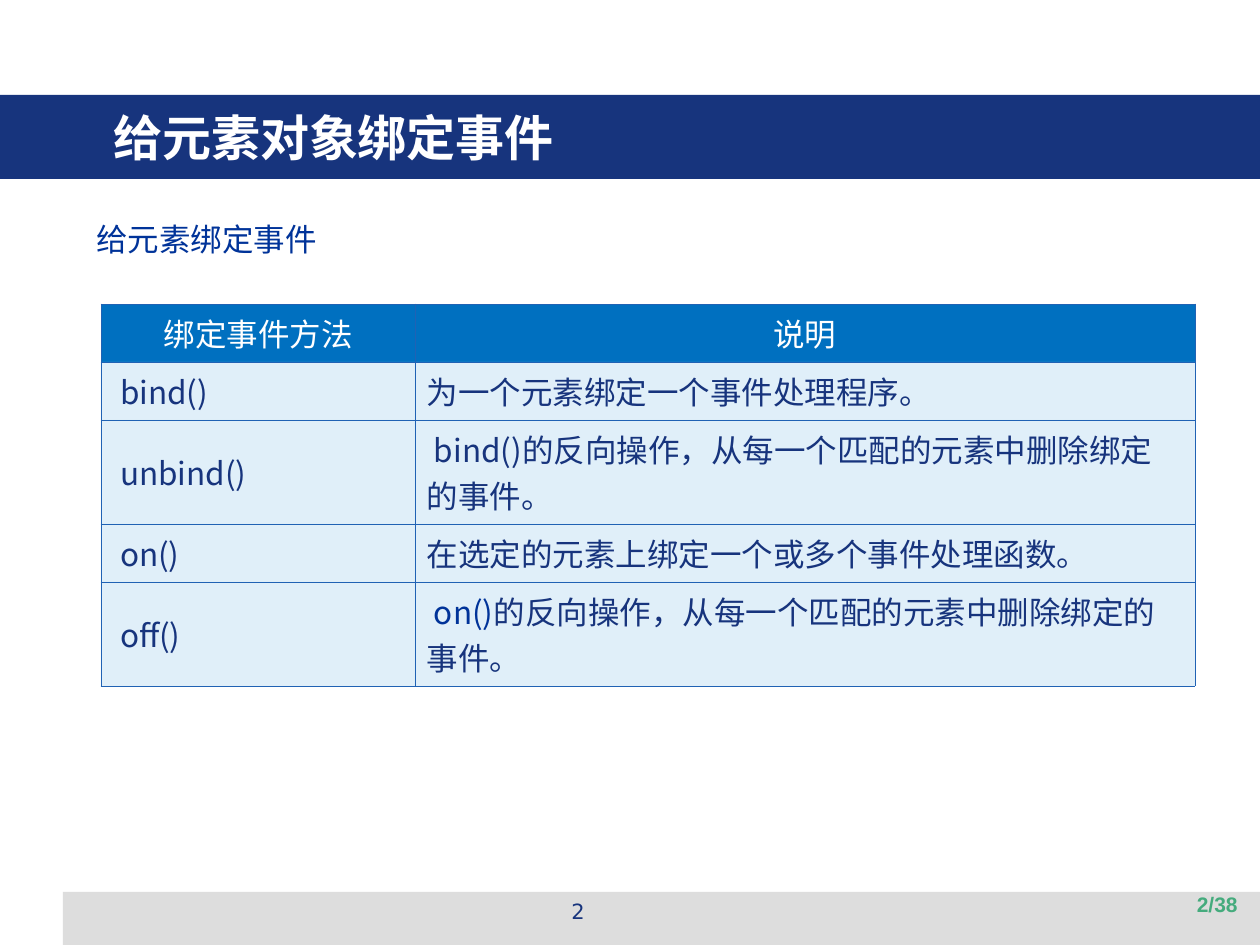
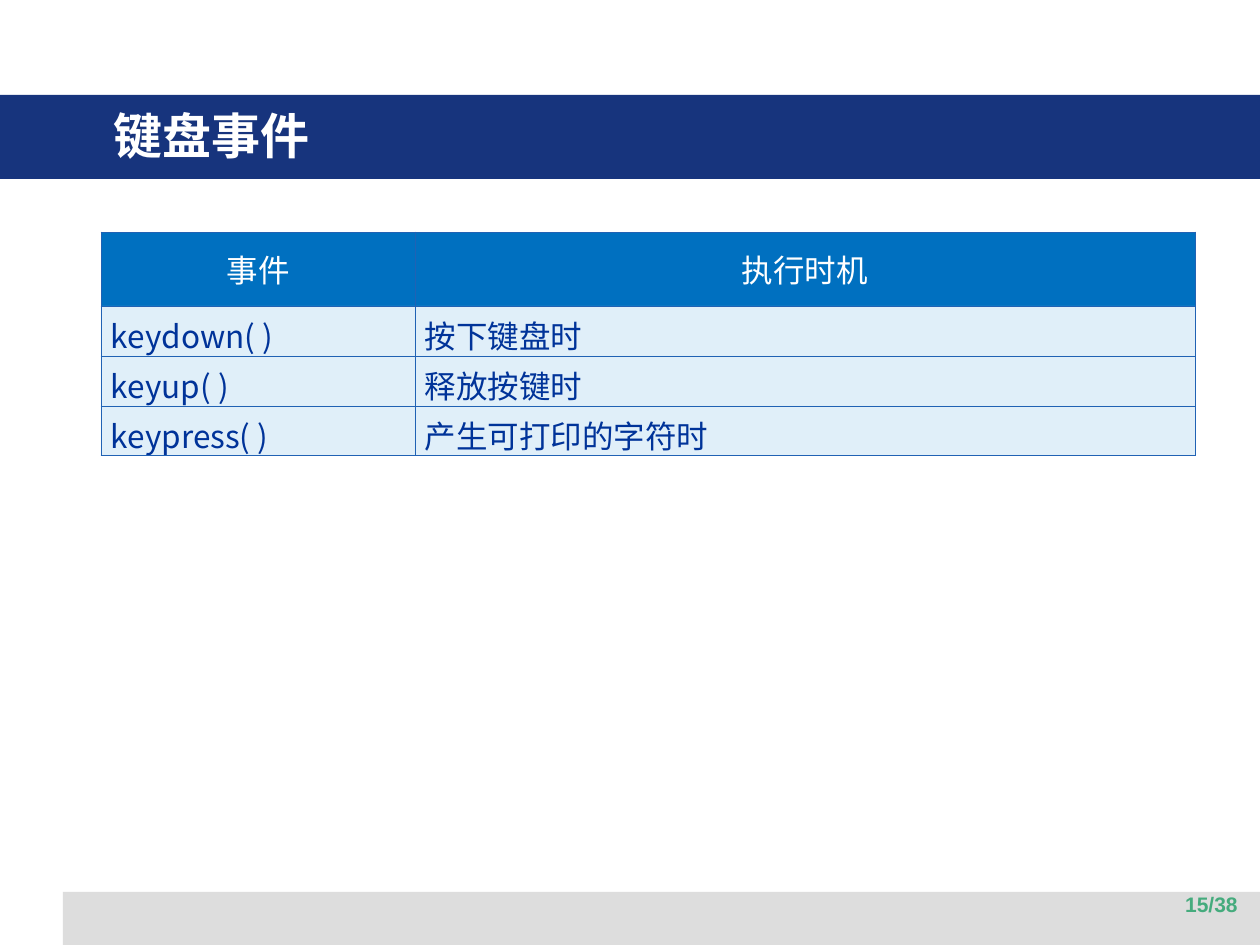
from dataclasses import dataclass
from typing import NamedTuple

from lxml import etree
from pptx import Presentation
from pptx import util as u
from pptx.dml.color import RGBColor
from pptx.enum import shapes, text
from pptx.oxml import ns

PX_PER_INCH = 126
SLIDE_WIDTH, SLIDE_HEIGHT = 1260, 945
TOTAL_PAGES = 38


@dataclass(frozen=True)
class Theme:
    navy: str = "17347D"
    blue: str = "003399"
    white: str = "FFFFFF"
    green: str = "45AB7D"
    footer_grey: str = "DDDDDD"
    header_fill: str = "0070C0"
    body_fill: str = "C3E0F5"
    body_opacity: int = 50
    border: str = "2062B4"
    border_width: float = 0.45
    cjk_font: str = "Noto Sans CJK SC"
    page_font: str = "Arial"
    number_font: str = "DejaVu Sans"
    title_size: int = 28
    body_size: int = 18
    footer_size: int = 12


THEME = Theme()


class Box(NamedTuple):
    left: int
    top: int
    width: int
    height: int


class Style(NamedTuple):
    font: str
    size: int
    color: str
    bold: bool = False
    align: text.PP_ALIGN = text.PP_ALIGN.LEFT
    anchor: text.MSO_ANCHOR = text.MSO_ANCHOR.TOP


class Span(NamedTuple):
    text: str
    color: str


@dataclass(frozen=True)
class EventTable:
    top: int
    row_heights: tuple[int, ...]
    header: tuple[str, str]
    rows: tuple[tuple[str | tuple[Span, ...], ...], ...]
    text_color: str
    side_margin: int
    anchor: text.MSO_ANCHOR


@dataclass(frozen=True)
class EventSlide:
    page: int
    title: str
    title_box: Box
    table: EventTable
    subtitle: str = ""
    center_number: str = ""


TITLE_BAND = Box(0, 95, SLIDE_WIDTH, 84)
FOOTER_BAND = Box(63, 892, 1197, 53)
SUBTITLE_BOX = Box(84, 214, 1053, 149)
CENTER_NUMBER_BOX = Box(431, 892, 294, 44)
PAGE_BOX = Box(956, 885, 294, 50)
TABLE_LEFT = 101
COLUMN_WIDTHS = (314, 780)
CELL_PAD = 6

TITLE = Style(THEME.cjk_font, THEME.title_size, THEME.white, bold=True,
              anchor=text.MSO_ANCHOR.MIDDLE)
SUBTITLE = Style(THEME.cjk_font, THEME.body_size, THEME.blue)
PAGE = Style(THEME.page_font, THEME.footer_size, THEME.green, bold=True,
             align=text.PP_ALIGN.RIGHT)
CENTER_NUMBER = Style(THEME.number_font, THEME.footer_size, THEME.navy,
                      align=text.PP_ALIGN.CENTER)
HEADER = Style(THEME.cjk_font, THEME.body_size, THEME.white,
               align=text.PP_ALIGN.CENTER, anchor=text.MSO_ANCHOR.MIDDLE)

SLIDES = (
    EventSlide(
        page=2,
        title="给元素对象绑定事件",
        title_box=Box(101, 96, 1134, 81),
        subtitle="给元素绑定事件",
        center_number="2",
        table=EventTable(
            top=304,
            row_heights=(58, 58, 104, 58, 104),
            header=("绑定事件方法", "说明"),
            rows=(
                (" bind()", "为一个元素绑定一个事件处理程序。"),
                (" unbind()", " bind()的反向操作，从每一个匹配的元素中删除绑定的事件。"),
                (" on()", "在选定的元素上绑定一个或多个事件处理函数。"),
                (" off()", (
                    Span(" on()", THEME.blue),
                    Span("的反向操作，从每一个匹配的元素中删除绑定的事件。", THEME.navy),
                )),
            ),
            text_color=THEME.navy,
            side_margin=12,
            anchor=text.MSO_ANCHOR.MIDDLE,
        ),
    ),
    EventSlide(
        page=15,
        title="键盘事件",
        title_box=Box(101, 73, 1134, 123),
        table=EventTable(
            top=232,
            row_heights=(74, 50, 50, 50),
            header=("事件", "执行时机"),
            rows=(
                ("keydown( )", "按下键盘时"),
                ("keyup( )", "释放按键时"),
                ("keypress( )", "产生可打印的字符时"),
            ),
            text_color=THEME.blue,
            side_margin=10,
            anchor=text.MSO_ANCHOR.TOP,
        ),
    ),
)


def px(length: int) -> u.Emu:
    return u.Inches(length / PX_PER_INCH)


def place(box: Box) -> tuple[u.Emu, ...]:
    return tuple(px(length) for length in box)


def format_run(run, style: Style, color: str) -> None:
    run.font.name = style.font
    run.font.size = u.Pt(style.size)
    run.font.bold = style.bold
    run.font.color.rgb = RGBColor.from_string(color)
    properties = run.font._element
    etree.SubElement(properties, ns.qn("a:ea"), typeface=style.font)


def write(paragraph, content: str | tuple[Span, ...], style: Style) -> None:
    spans = (Span(content, style.color),) if isinstance(content, str) else content
    paragraph.alignment = style.align
    for span in spans:
        run = paragraph.add_run()
        run.text = span.text
        format_run(run, style, span.color)


def add_label(slide, box: Box, content: str, style: Style) -> None:
    frame = slide.shapes.add_textbox(*place(box)).text_frame
    frame.word_wrap = True
    frame.vertical_anchor = style.anchor
    write(frame.paragraphs[0], content, style)


def add_band(slide, box: Box, color: str) -> None:
    band = slide.shapes.add_shape(shapes.MSO_SHAPE.RECTANGLE, *place(box))
    band.shadow.inherit = False
    band.fill.solid()
    band.fill.fore_color.rgb = RGBColor.from_string(color)
    band.line.fill.background()


def add_borders(cell) -> None:
    properties = cell._tc.get_or_add_tcPr()
    for side in ("lnL", "lnR", "lnT", "lnB"):
        line = etree.SubElement(properties, ns.qn(f"a:{side}"),
                                w=str(u.Pt(THEME.border_width)))
        fill = etree.SubElement(line, ns.qn("a:solidFill"))
        etree.SubElement(fill, ns.qn("a:srgbClr"), val=THEME.border)


def fill_cell(cell, color: str, opacity: int = 100) -> None:
    cell.fill.solid()
    cell.fill.fore_color.rgb = RGBColor.from_string(color)
    if opacity < 100:
        tint = cell._tc.tcPr.find(f"{ns.qn('a:solidFill')}/{ns.qn('a:srgbClr')}")
        etree.SubElement(tint, ns.qn("a:alpha"), val=str(opacity * 1000))


def add_event_table(slide, event_table: EventTable) -> None:
    contents = (event_table.header, *event_table.rows)
    box = Box(TABLE_LEFT, event_table.top,
              sum(COLUMN_WIDTHS), sum(event_table.row_heights))
    table = slide.shapes.add_table(
        len(contents), len(COLUMN_WIDTHS), *place(box)).table
    table.first_row = table.horz_banding = False
    for column, width in zip(table.columns, COLUMN_WIDTHS):
        column.width = px(width)
    for row, height in zip(table.rows, event_table.row_heights):
        row.height = px(height)

    body = Style(THEME.cjk_font, THEME.body_size, event_table.text_color,
                 anchor=event_table.anchor)
    for row_index, row_contents in enumerate(contents):
        is_header = row_index == 0
        style = HEADER if is_header else body
        for column_index, content in enumerate(row_contents):
            cell = table.cell(row_index, column_index)
            cell.vertical_anchor = style.anchor
            cell.margin_left = cell.margin_right = px(event_table.side_margin)
            cell.margin_top = cell.margin_bottom = px(CELL_PAD)
            add_borders(cell)
            if is_header:
                fill_cell(cell, THEME.header_fill)
            else:
                fill_cell(cell, THEME.body_fill, THEME.body_opacity)
            write(cell.text_frame.paragraphs[0], content, style)


def add_event_slide(presentation, content: EventSlide) -> None:
    slide = presentation.slides.add_slide(presentation.slide_layouts[6])
    add_band(slide, FOOTER_BAND, THEME.footer_grey)
    add_band(slide, TITLE_BAND, THEME.navy)
    add_label(slide, content.title_box, content.title, TITLE)
    if content.subtitle:
        add_label(slide, SUBTITLE_BOX, content.subtitle, SUBTITLE)
    if content.center_number:
        add_label(slide, CENTER_NUMBER_BOX, content.center_number, CENTER_NUMBER)
    add_event_table(slide, content.table)
    add_label(slide, PAGE_BOX, f"{content.page}/{TOTAL_PAGES}", PAGE)


def main() -> None:
    presentation = Presentation()
    presentation.slide_width = px(SLIDE_WIDTH)
    presentation.slide_height = px(SLIDE_HEIGHT)
    for content in SLIDES:
        add_event_slide(presentation, content)
    presentation.save("out.pptx")


if __name__ == "__main__":
    main()
